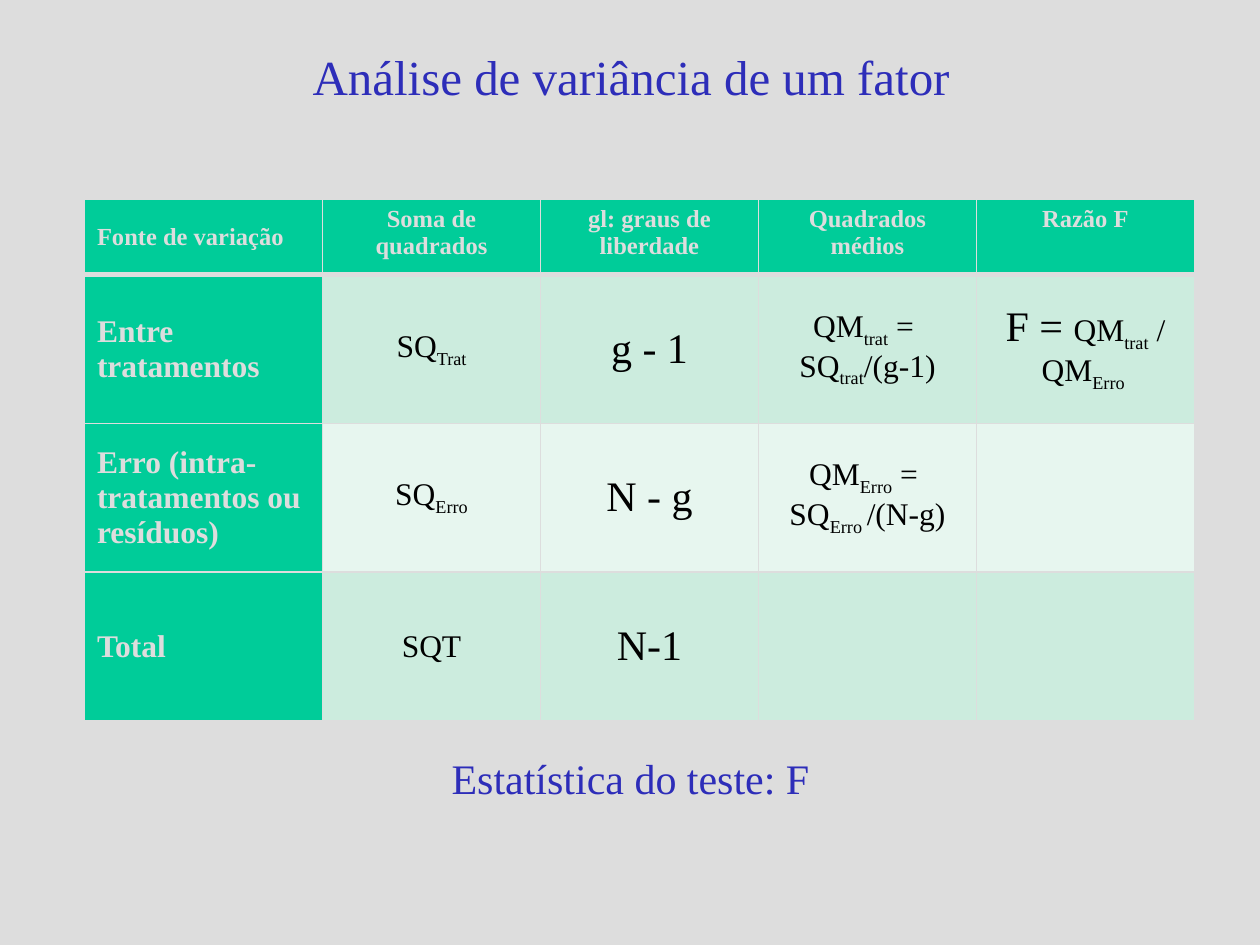
import pptx
import pptx.dml.color
import pptx.enum.text
import pptx.oxml
import pptx.oxml.ns
import pptx.util
from pptx.util import Inches

COLORS = {
    "background": "DDDDDD",
    "heading": "2D2DB9",
    "accent": "00CC99",
    "band": "CCECDE",
    "light_band": "E7F6EF",
    "body": "000000",
}
CENTER = pptx.enum.text.PP_ALIGN.CENTER
LEFT = pptx.enum.text.PP_ALIGN.LEFT
MIDDLE = pptx.enum.text.MSO_ANCHOR.MIDDLE
TOP = pptx.enum.text.MSO_ANCHOR.TOP

HEADERS = ["Fonte de variação", "Soma de quadrados", "gl: graus de liberdade",
           "Quadrados médios", "Razão F"]
# Every second part between bars is a subscript; a line break starts a paragraph.
SOURCES = [
    ["Entre tratamentos", "SQ|Trat", "g - 1",
     "QM|trat| = \nSQ|trat|/(g-1)", "F = ||QM|trat| / QM|Erro "],
    ["Erro (intra-tratamentos ou resíduos)", "SQ|Erro", "N - g",
     "QM|Erro| = \nSQ|Erro |/(N-g)", ""],
    ["Total", "SQT", "N-1", "", ""],
]
FREEDOM_COLUMN = 2


def rgb(name):
    return pptx.dml.color.RGBColor.from_string(COLORS[name])


class AnovaSlide:
    """Holds the slide and the typeface shared by its elements."""

    def __init__(self, slide, font="Times New Roman"):
        self.slide = slide
        self.font = font
        slide.background.fill.solid()
        slide.background.fill.fore_color.rgb = rgb("background")

    def style_run(self, run, size, color, bold=False):
        run.font.name = self.font
        run.font.size = pptx.util.Pt(size)
        run.font.color.rgb = rgb(color)
        run.font.bold = bold

    def heading(self, text, left, top, width, height, size, anchor):
        frame = self.slide.shapes.add_textbox(
            Inches(left), Inches(top), Inches(width), Inches(height)).text_frame
        frame.word_wrap = True
        frame.vertical_anchor = anchor
        frame.text = text
        frame.paragraphs[0].alignment = CENTER
        self.style_run(frame.paragraphs[0].runs[0], size, "heading")

    def table(self, left, top, column_widths, row_heights):
        table = self.slide.shapes.add_table(
            len(row_heights), len(column_widths), Inches(left), Inches(top),
            Inches(sum(column_widths)), Inches(sum(row_heights))).table
        for column, width in zip(table.columns, column_widths):
            column.width = Inches(width)
        for row, height in zip(table.rows, row_heights):
            row.height = Inches(height)
        return table

    def cell(self, cell, text, fill, size, color, bold=False,
             align=CENTER, anchor=MIDDLE):
        cell.fill.solid()
        cell.fill.fore_color.rgb = rgb(fill)
        cell.vertical_anchor = anchor
        for number, line in enumerate(text.split("\n")):
            frame = cell.text_frame
            paragraph = frame.add_paragraph() if number else frame.paragraphs[0]
            paragraph.alignment = align
            for index, part in enumerate(line.split("|")):
                if part:
                    run = paragraph.add_run()
                    run.text = part
                    self.style_run(run, size, color, bold)
                    if index % 2:
                        run.font._element.set("baseline", "-25000")

    def borders(self, cell, **points):
        """Draw the cell edges L, R, T and B at the given widths."""
        properties = cell._tc.get_or_add_tcPr()
        for place, (side, width) in enumerate(points.items()):
            properties.insert(place, pptx.oxml.parse_xml(
                f'<a:ln{side} {pptx.oxml.ns.nsdecls("a")} w="{pptx.util.Pt(width)}">'
                f'<a:solidFill><a:srgbClr val="{COLORS["background"]}"/></a:solidFill>'
                f'</a:ln{side}>'))


def main():
    presentation = pptx.Presentation()
    presentation.slide_width = Inches(10)
    presentation.slide_height = Inches(7.5)
    anova = AnovaSlide(presentation.slides.add_slide(presentation.slide_layouts[6]))

    anova.heading("Análise de variância de um fator", 0.76, -0.02, 8.5, 1.25, 28, MIDDLE)

    table = anova.table(0.67, 1.58, [1.89] + [1.73] * 4, [0.6] + [1.18] * 3)
    for column, header in enumerate(HEADERS):
        anova.cell(table.cell(0, column), header, "accent", 14, "background", True,
                   CENTER if column else LEFT, TOP if column else MIDDLE)
    for row, (source, *values) in enumerate(SOURCES, start=1):
        anova.cell(table.cell(row, 0), source, "accent", 18, "background", True, LEFT)
        band = "band" if row % 2 else "light_band"
        for column, value in enumerate(values, start=1):
            size = 24 if column == FREEDOM_COLUMN else 18
            anova.cell(table.cell(row, column), value, band, size, "body")
    ratio = table.cell(1, 4).text_frame.paragraphs[0]
    ratio.runs[0].font.size = pptx.util.Pt(24)

    for row in range(len(table.rows)):
        for column in range(len(table.columns)):
            anova.borders(table.cell(row, column), L=1, R=1,
                          T=3 if row == 1 else 1, B=3 if row == 0 else 1)

    anova.heading("Estatística do teste: F", 1.88, 5.92, 6.25, 0.5, 24, TOP)
    presentation.save("out.pptx")


if __name__ == "__main__":
    main()
